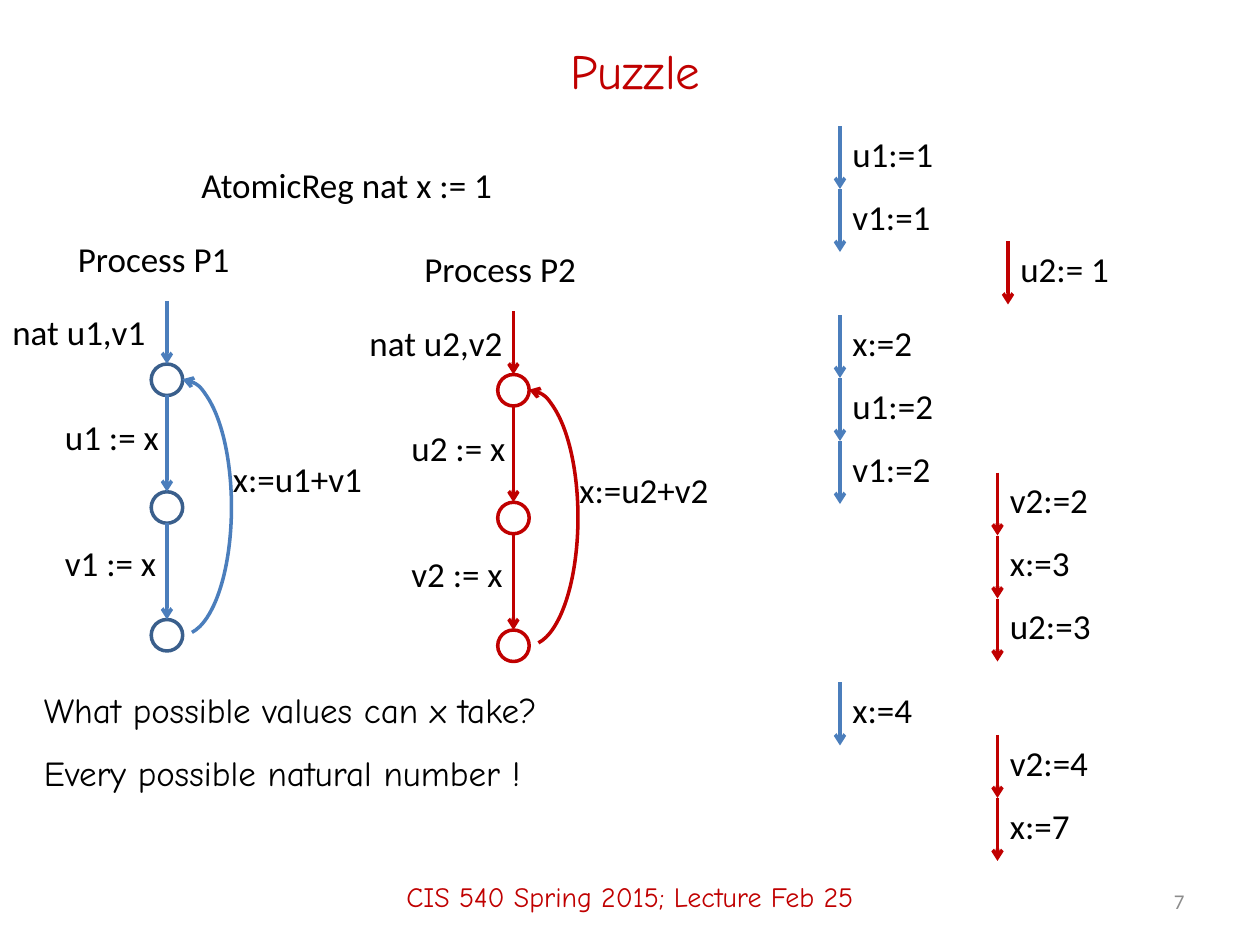
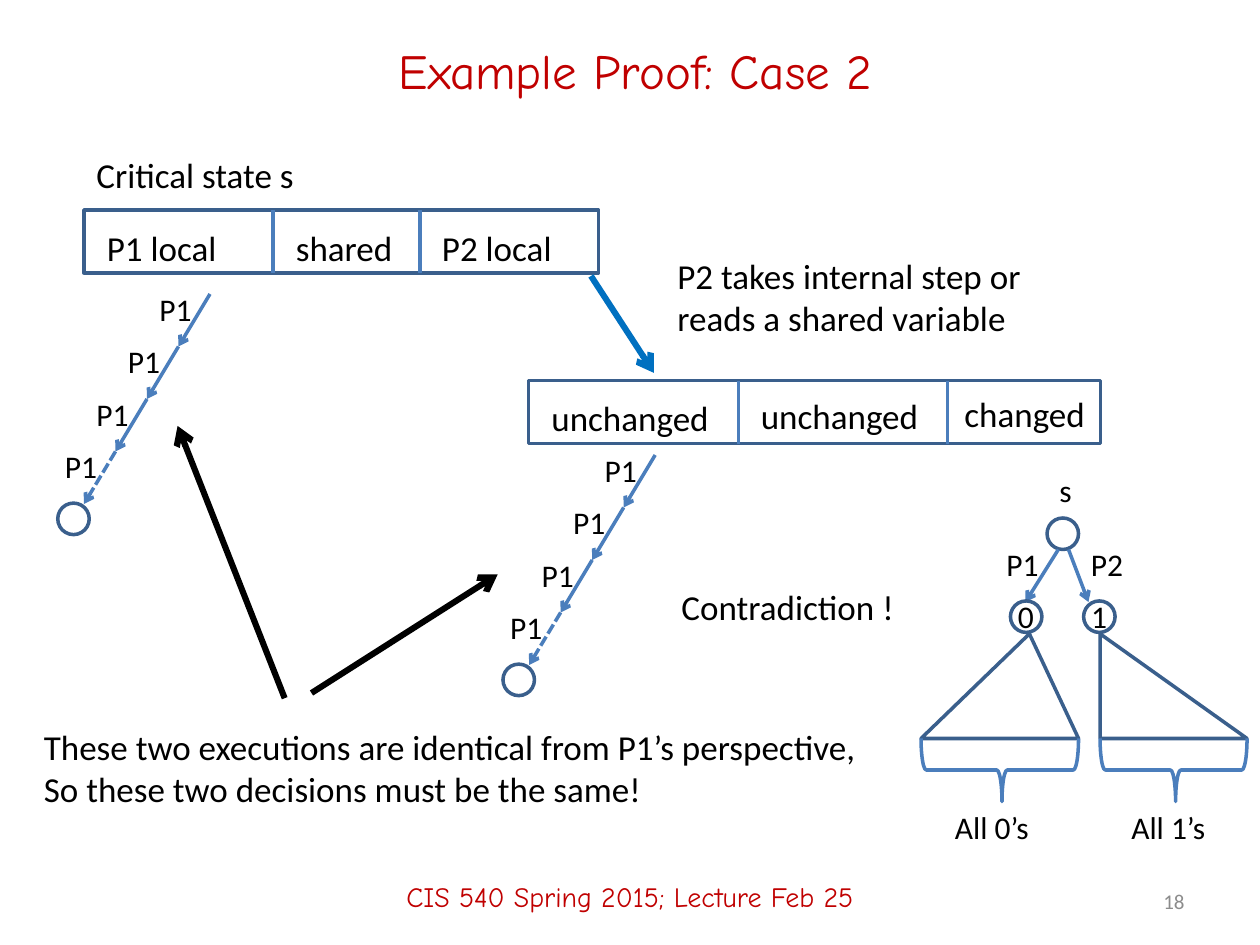
import pptx
import pptx.dml.color
import pptx.enum.dml
import pptx.enum.shapes
import pptx.enum.text
import pptx.oxml.ns
import pptx.util
from lxml import etree

Pt = pptx.util.Pt
SHAPES = pptx.enum.shapes.MSO_SHAPE
ALIGN = pptx.enum.text.PP_ALIGN

BLUE, NAVY, RED, BLACK = "4B7EBC", "3A5F8C", "C00000", "000000"
STEP_BLUE, GREY = "0070C0", "8C8C8C"
BODY_FONT, DISPLAY_FONT = "Calibri", "Comic Neue"
FOOTER = "CIS 540 Spring 2015; Lecture Feb 25"
NODE = 18
STEP = 36

# Puzzle: text, left, top, width
REGISTER = ("AtomicReg nat x := 1", 108, 90, 182)
QUESTIONS = [("What possible values can x take?", 366),
             ("Every possible natural number !", 336)]
# number, left and top of the first node, left of the declaration, colours
PROCESSES = [
    dict(number=1, left=86.4, top=208, declaration_left=0, arrow=BLUE, node=NAVY),
    dict(number=2, left=284.4, top=214, declaration_left=204, arrow=RED, node=RED),
]
# colour, left, top, (assignment, label width)
TRACE = [
    (BLUE, 480, 72, [("u1:=1", 61), ("v1:=1", 60)]),
    (RED, 576, 138, [("u2:= 1", 66)]),
    (BLUE, 480, 180, [("x:=2", 49), ("u1:=2", 61), ("v1:=2", 60)]),
    (RED, 570, 270, [("v2:=2", 60), ("x:=3", 49), ("u2:=3", 61)]),
    (BLUE, 480, 390, [("x:=4", 49)]),
    (RED, 570, 420, [("v2:=4", 60), ("x:=7", 49)]),
]

# Example proof: left, top, width of a state, its dividers and its parts
STATES = [
    dict(box=(48, 120, 294), dividers=[156, 240],
         parts=[("P1 local", 54, 126, 82), ("shared", 162, 126, 75),
                ("P2 local", 245.5, 126, 78)]),
    dict(box=(302, 217.5, 327), dividers=[422, 541.5],
         parts=[("unchanged", 308, 223, 117), ("unchanged", 427.7, 222, 122),
                ("changed", 544, 221, 84)]),
]
EXECUTION_STARTS = [(120, 168), (374.4, 260)]
EXECUTION_STEPS = ["P1", "P1", "P1", "P1"]
REMARKS = [
    ("Critical state s", 48, 84, 129),
    ("P2 takes internal step or\nreads a shared variable", 380, 142, 217),
    ("These two executions are identical from P1’s perspective,\n"
     "So these two decisions must be the same!", 18, 411, 484),
    ("Contradiction !", 382.3, 331.2, 142),
]
THICK_ARROWS = [
    (BLACK, (162.7, 399), (101.5, 243.4)),
    (BLACK, (178, 396), (284.4, 328.3)),
    (STEP_BLUE, (337.7, 157.7), (373.7, 213.1)),
]
ROOT = ("s", 598.3, 296)
BRANCHES = [
    dict(step="P1", step_left=568, arrow=((604.8, 314), (586, 344)), value="0",
         left=577.4, tree=(526.3, 90), apex=0.688, result=("All 0’s", 538.6, 72)),
    dict(step="P2", step_left=616.3, arrow=((610.6, 314), (622, 344)), value="1",
         left=619.2, tree=(628.6, 84), apex=0, result=("All 1’s", 639.4, 67)),
]


def rgb(colour):
    return pptx.dml.color.RGBColor.from_string(colour)


def add_text(slide, text, left, top, width, height=None, size=20, font=BODY_FONT,
             colour=BLACK, align=ALIGN.LEFT, middle=False, wrap=False):
    """Without a height, the box fits its lines."""
    lines = text.split("\n")
    fits = height is None
    if fits:
        height = 1.2 * size * len(lines) + 7.2
    box = slide.shapes.add_textbox(Pt(left), Pt(top), Pt(width), Pt(height))
    frame = box.text_frame
    frame.word_wrap = wrap
    if fits:
        frame.auto_size = pptx.enum.text.MSO_AUTO_SIZE.SHAPE_TO_FIT_TEXT
    if middle:
        frame.vertical_anchor = pptx.enum.text.MSO_ANCHOR.MIDDLE
    for index, line in enumerate(lines):
        paragraph = frame.add_paragraph() if index else frame.paragraphs[0]
        paragraph.alignment = align
        run = paragraph.add_run()
        run.text = line
        run.font.size, run.font.name = Pt(size), font
        run.font.color.rgb = rgb(colour)


def set_line(shape, colour, weight=2):
    shape.line.color.rgb = rgb(colour)
    shape.line.width = Pt(weight)


def add_arrowhead(shape, end="tailEnd"):
    line = shape.element.spPr.find(pptx.oxml.ns.qn("a:ln"))
    etree.SubElement(line, pptx.oxml.ns.qn("a:" + end), type="arrow")


def add_outline(slide, kind, left, top, width, height, colour=NAVY, adjustments=()):
    shape = slide.shapes.add_shape(kind, Pt(left), Pt(top), Pt(width), Pt(height))
    shape.shadow.inherit = False
    shape.fill.background()
    set_line(shape, colour)
    for index, value in enumerate(adjustments):
        shape.adjustments[index] = value
    return shape


def add_node(slide, left, top, colour=NAVY):
    return add_outline(slide, SHAPES.OVAL, left, top, NODE, NODE, colour)


def add_line(slide, start, end, colour=BLUE, weight=2, arrow=True, dashed=False):
    line = slide.shapes.add_connector(
        pptx.enum.shapes.MSO_CONNECTOR.STRAIGHT, *map(Pt, start + end))
    set_line(line, colour, weight)
    if dashed:
        line.line.dash_style = pptx.enum.dml.MSO_LINE.SQUARE_DOT
    if arrow:
        add_arrowhead(line)
    etree.SubElement(line.element.spPr, pptx.oxml.ns.qn("a:effectLst"))
    return line


def add_slide(deck, title, number):
    slide = deck.slides.add_slide(deck.slide_layouts[6])
    display = dict(font=DISPLAY_FONT, colour=RED, align=ALIGN.CENTER,
                   middle=True, wrap=True)
    add_text(slide, title, 54, 12, 618, 56, size=28, **display)
    add_text(slide, FOOTER, 0, 484, 720, 56, size=16, **display)
    add_text(slide, str(number), 516, 500.4, 168, 28.8, size=12, colour=GREY,
             align=ALIGN.RIGHT, middle=True, wrap=True)
    return slide


def add_process(slide, number, left, top, declaration_left, arrow, node):
    centre, pitch = left + NODE / 2, 73
    for index in range(3):
        node_top = top + index * pitch
        circle = add_node(slide, left, node_top, node)
        gap = pitch - NODE if index else STEP
        incoming = add_line(slide, (centre, node_top - gap), (centre, node_top), arrow)
        incoming.end_connect(circle, 0)
    arc = add_outline(slide, SHAPES.ARC, left - 10.1, top + 8.7, 56, 146, arrow,
                      (162, 51.41))
    add_arrowhead(arc, "headEnd")
    add_text(slide, f"Process P{number}", left - 49, top - 76, 102)
    add_text(slide, f"nat u{number},v{number}", declaration_left, top - 34, 91)
    add_text(slide, f"u{number} := x", left - 56.4, top + 26, 68)
    add_text(slide, f"v{number} := x", left - 56.4, top + 98, 67)
    add_text(slide, f"x:=u{number}+v{number}", left + 39.6, top + 50, 89)


def add_state(slide, box, dividers, parts):
    left, top, width = box
    add_outline(slide, SHAPES.RECTANGLE, left, top, width, STEP)
    for x in dividers:
        add_line(slide, (x, top), (x, top + STEP), arrow=False)
    for part in parts:
        add_text(slide, *part)


def add_execution(slide, left, top):
    last = len(EXECUTION_STEPS) - 1
    for index, step in enumerate(EXECUTION_STEPS):
        x, y = left - 18 * index, top + 30 * index
        add_line(slide, (x, y), (x - 18, y + 30), dashed=index == last)
        add_text(slide, step, x - 36, y - 6, 35.3, size=18, wrap=True)
    add_node(slide, left - 87, top + 119.5)


def add_branch(slide, step, step_left, arrow, value, left, tree, apex, result):
    add_line(slide, *arrow)
    add_text(slide, step, step_left, 308, 35.3, size=18, wrap=True)
    add_node(slide, left, 343.4)
    add_text(slide, value, left - 2.8, 337.7, 23.8, size=18, wrap=True)
    tree_left, span = tree
    add_outline(slide, SHAPES.ISOSCELES_TRIANGLE, tree_left, 362.2, span, 59.8,
                adjustments=[apex])
    depth = 36
    brace = add_outline(slide, SHAPES.LEFT_BRACE, tree_left + (span - depth) / 2,
                        440 - span / 2, depth, span, BLUE, (0.083, 0.514))
    brace.rotation = 270
    label, label_left, label_width = result
    add_text(slide, label, label_left, 458, label_width, size=18, wrap=True)


def build_puzzle(deck):
    slide = add_slide(deck, "Puzzle", 7)
    add_text(slide, *REGISTER)
    for index, (question, width) in enumerate(QUESTIONS):
        add_text(slide, question, 18, 390 + STEP * index, width, STEP,
                 font=DISPLAY_FONT, wrap=True)
    for process in PROCESSES:
        add_process(slide, **process)
    for colour, left, top, assignments in TRACE:
        for index, (assignment, width) in enumerate(assignments):
            y = top + STEP * index
            add_line(slide, (left, y), (left, y + STEP), colour)
            add_text(slide, assignment, left, y, width)


def build_proof(deck):
    slide = add_slide(deck, "Example Proof: Case 2", 18)
    for state in STATES:
        add_state(slide, **state)
    for start in EXECUTION_STARTS:
        add_execution(slide, *start)
    for remark in REMARKS:
        add_text(slide, *remark)
    for colour, start, end in THICK_ARROWS:
        add_line(slide, start, end, colour, weight=3.5)
    root, left, top = ROOT
    add_node(slide, left, top)
    add_text(slide, root, left, top - 30.3, 35.3, size=18, wrap=True)
    for branch in BRANCHES:
        add_branch(slide, **branch)


def main():
    deck = pptx.Presentation()
    deck.slide_width, deck.slide_height = Pt(720), Pt(540)
    build_puzzle(deck)
    build_proof(deck)
    deck.save("out.pptx")


if __name__ == "__main__":
    main()
